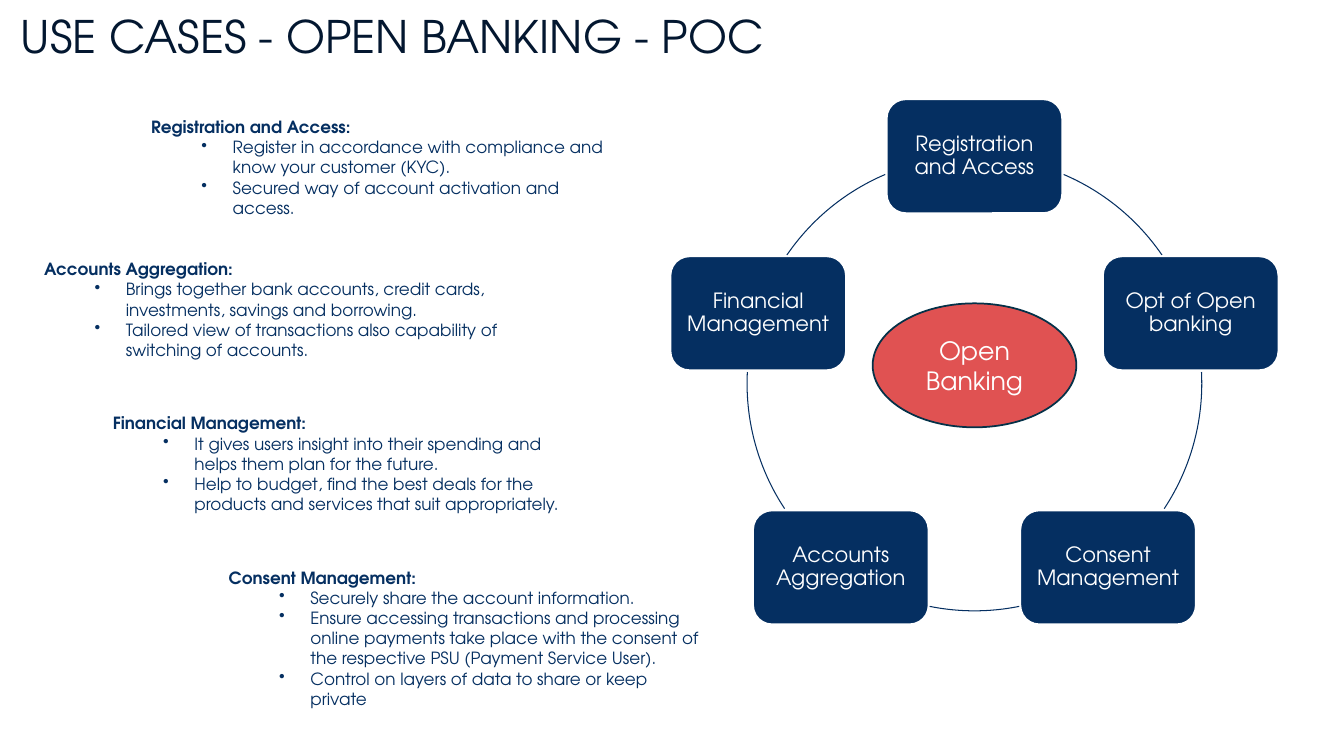
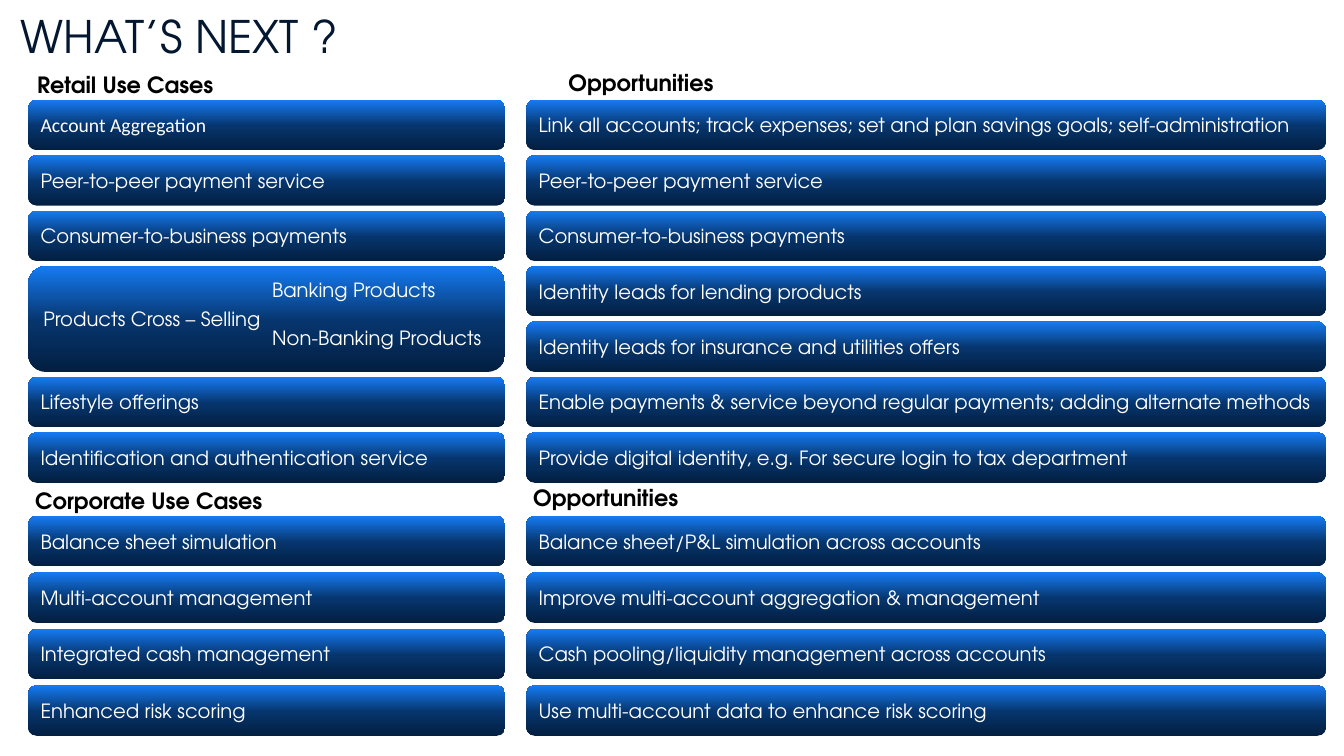
from copy import deepcopy
from math import cos, radians, sin

from pptx import Presentation
from pptx.dml.color import RGBColor
from pptx.enum.shapes import MSO_SHAPE as SHAPE
from pptx.enum.text import MSO_ANCHOR as ANCHOR, PP_ALIGN as ALIGN
from pptx.oxml.ns import qn
from pptx.util import Inches, Pt

FONT = "TeX Gyre Adventor"
NAVY, RED, WHITE, BLACK = "052F61", "E05252", "FFFFFF", "000000"
TITLE_COLOR, OVAL_LINE = "031730", "043148"
BAR_STOPS = [(0, "031F41"), (0.48, "06356D"), (1, "167BF3")]

NODES = ["Registration and Access", "Opt of Open banking", "Consent Management",
         "Accounts Aggregation", "Financial Management"]
ARCS = [(293.1, 325.6), (357.1, 33.4), (78.6, 101.4), (146.6, 182.9), (214.4, 246.9)]

USE_CASES = [
    (1.4, 1.11, 1.11, "Registration and Access:", [
        "Register in accordance with compliance and know your customer (KYC).",
        "Secured way of account activation and access."]),
    (0.34, 2.52, 1.11, "Accounts Aggregation:", [
        "Brings together bank accounts, credit cards, investments, savings and borrowing.",
        "Tailored view of transactions also capability of switching of accounts."]),
    (1.02, 4.05, 1.11, "Financial Management:", [
        "It gives users insight into their spending and helps them plan for the future.",
        "Help to budget, find the best deals for the products and services that suit "
        "appropriately."]),
    (2.17, 5.58, 1.51, "Consent Management:", [
        "Securely share the account information.",
        "Ensure accessing transactions and processing online payments take place with the "
        "consent of the respective PSU (Payment Service User).",
        "Control on layers of data to share or keep private"]),
]

CROSS_SELLING = "Products Cross – Selling"
RETAIL = ["Account Aggregation", "Peer-to-peer payment service",
          "Consumer-to-business payments", CROSS_SELLING, "Lifestyle offerings",
          "Identification and authentication service"]
RETAIL_OPPORTUNITIES = [
    "Link all accounts; track expenses; set and plan savings goals; self-administration",
    "Peer-to-peer payment service",
    "Consumer-to-business payments",
    "Identity leads for lending products",
    "Identity leads for insurance and utilities offers",
    "Enable payments & service beyond regular payments; adding alternate methods",
    "Provide digital identity, e.g. For secure login to tax department"]
CORPORATE = ["Balance sheet simulation", "Multi-account management",
             "Integrated cash management", "Enhanced risk scoring"]
CORPORATE_OPPORTUNITIES = [
    "Balance sheet/P&L simulation across accounts",
    "Improve multi-account aggregation & management",
    "Cash pooling/liquidity management across accounts",
    "Use multi-account data to enhance risk scoring"]


def rgb(color):
    return RGBColor.from_string(color)


def add_run(p, text, size, color, bold=False, font=FONT):
    r = p.add_run()
    r.text = text
    r.font.name = font
    r.font.size = Pt(size)
    r.font.bold = bold
    r.font.color.rgb = rgb(color)


def add_text(slide, x, y, w, h, text, size, color, bold=False):
    box = slide.shapes.add_textbox(Inches(x), Inches(y), Inches(w), Inches(h))
    tf = box.text_frame
    tf.word_wrap = True
    add_run(tf.paragraphs[0], text, size, color, bold)
    return tf


def add_preset(slide, kind, x, y, w, h, fill=None, line=None, width=1.25):
    sp = slide.shapes.add_shape(kind, Inches(x), Inches(y), Inches(w), Inches(h))
    sp.shadow.inherit = False
    if fill:
        sp.fill.solid()
        sp.fill.fore_color.rgb = rgb(fill)
    else:
        sp.fill.background()
    if line:
        sp.line.color.rgb = rgb(line)
        sp.line.width = Pt(width)
    else:
        sp.line.fill.background()
    return sp


def label(sp, text, size, align, font=FONT):
    tf = sp.text_frame
    tf.word_wrap = True
    tf.vertical_anchor = ANCHOR.MIDDLE
    p = tf.paragraphs[0]
    p.alignment = align
    add_run(p, text, size, WHITE, font=font)
    return p


def add_titled_slide(prs, title):
    slide = prs.slides.add_slide(prs.slide_layouts[6])
    tf = add_text(slide, 0.11, 0.11, 12.63, 0.48, title, 32, TITLE_COLOR)
    tf.vertical_anchor = ANCHOR.MIDDLE
    return slide


def add_use_case(slide, x, y, h, heading, points):
    tf = add_text(slide, x, y, 4.89, h, heading, 12, NAVY, True)
    for point in points:
        p = tf.add_paragraph()
        p.level = 1
        ppr = p._p.get_or_add_pPr()
        ppr.set("marL", str(Inches(0.81)))
        ppr.set("indent", str(-Inches(0.31)))
        ppr.makeelement(qn("a:buChar"))
        bullet = ppr.makeelement(qn("a:buChar"), {"char": "•"})
        ppr.append(bullet)
        add_run(p, point, 12, NAVY)


def add_cycle(slide, x, y, size):
    radius = size / 2
    cx, cy = x + radius, y + radius
    node_w, node_h = 1.74, 1.13
    for start, end in ARCS:
        arc = add_preset(slide, SHAPE.ARC, x, y, size, size, line=NAVY, width=0.75)
        for i, angle in enumerate((start, end)):
            arc.adjustments[i] = angle * 0.6
    for i, name in enumerate(NODES):
        angle = radians(360 / len(NODES) * i - 90)
        node = add_preset(slide, SHAPE.ROUNDED_RECTANGLE,
                          cx + radius * cos(angle) - node_w / 2,
                          cy + radius * sin(angle) - node_h / 2,
                          node_w, node_h, NAVY, WHITE)
        label(node, name, 15, ALIGN.CENTER).line_spacing = 0.9
    oval_w, oval_h = 2.02, 1.23
    oval = add_preset(slide, SHAPE.OVAL, cx - oval_w / 2, 3.01, oval_w, oval_h,
                      RED, OVAL_LINE)
    label(oval, "Open Banking", 18, ALIGN.CENTER)


def add_bar(slide, x, y, w, h, text, font=FONT):
    bar = add_preset(slide, SHAPE.ROUNDED_RECTANGLE, x, y, w, h)
    bar.fill.gradient()
    bar.fill.gradient_angle = 90
    first = bar._element.spPr.find(".//" + qn("a:gs"))
    first.addnext(deepcopy(first))
    for stop, (position, color) in zip(bar.fill.gradient_stops, BAR_STOPS):
        stop.position = position
        stop.color.rgb = rgb(color)
    label(bar, text, 14, ALIGN.LEFT, font)


def add_bar_column(slide, x, y, w, pitch, texts):
    for text in texts:
        span = 2 if text == CROSS_SELLING else 1
        font = "Calibri" if text == "Account Aggregation" else FONT
        add_bar(slide, x, y, w, 0.5 + (span - 1) * pitch, text, font)
        if span == 2:
            add_products(slide, x + 2.32, y + 0.07)
        y += span * pitch


def add_products(slide, x, y):
    tf = add_text(slide, x, y, 2.4, 0.81, "Banking Products", 14, WHITE)
    p = tf.add_paragraph()
    p.space_before = Pt(17)
    add_run(p, "Non-Banking Products", 14, WHITE)


def build_use_cases(prs):
    slide = add_titled_slide(prs, "USE CASES - OPEN BANKING - POC")
    add_cycle(slide, 7.41, 1.55, 4.51)
    for use_case in USE_CASES:
        add_use_case(slide, *use_case)


def build_next_steps(prs):
    slide = add_titled_slide(prs, "WHAT’S NEXT ?")
    for x, y, heading in [(0.27, 0.66, "Retail Use Cases"), (5.54, 0.64, "Opportunities"),
                          (0.25, 4.78, "Corporate Use Cases"), (5.19, 4.75, "Opportunities")]:
        add_text(slide, x, y, 3, 0.37, heading, 16, BLACK, True)
    for y, pitch, cases, opportunities in [
            (0.99, 0.55, RETAIL, RETAIL_OPPORTUNITIES),
            (5.12, 0.56, CORPORATE, CORPORATE_OPPORTUNITIES)]:
        add_bar_column(slide, 0.28, y, 4.73, pitch, cases)
        add_bar_column(slide, 5.22, y, 7.93, pitch, opportunities)


def main():
    prs = Presentation()
    prs.slide_width = Inches(13.33)
    prs.slide_height = Inches(7.5)
    build_use_cases(prs)
    build_next_steps(prs)
    prs.save("out.pptx")


if __name__ == "__main__":
    main()
